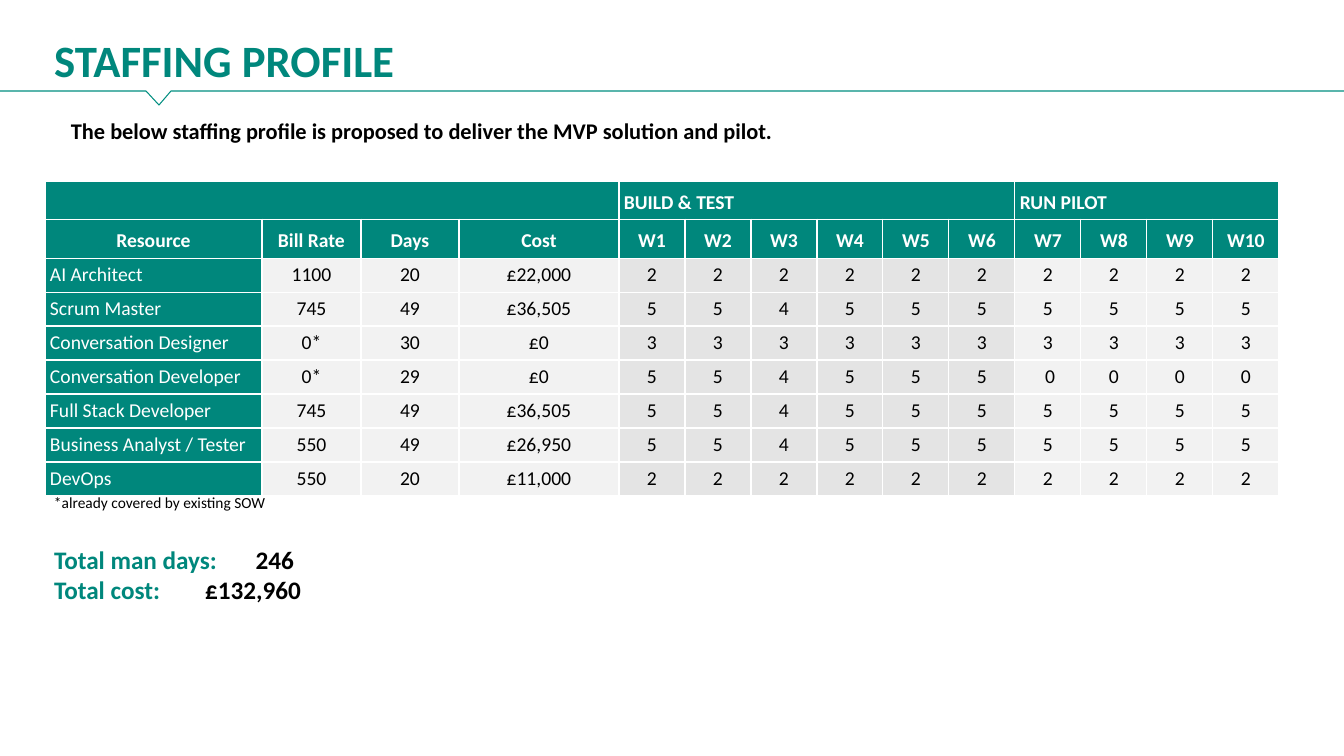
"""Build the staffing profile slide with its rate table, weekly plan and totals."""
from dataclasses import dataclass

from lxml import etree
from pptx import Presentation
from pptx import util as u
from pptx.dml.color import RGBColor
from pptx.enum import text as t
from pptx.oxml import ns

PX = 914400 / 100.8
TEAL, WHITE, BLACK = "00877C", "FFFFFF", "000000"
PALE, GREY = "F2F2F2", "E4E4E4"
LEFT, MID = t.PP_ALIGN.LEFT, t.PP_ALIGN.CENTER


@dataclass(frozen=True)
class Box:
    x: int
    y: int
    w: int
    h: int


@dataclass(frozen=True)
class Role:
    name: str
    rate: str
    days: str
    cost: str
    weeks: str

    def cells(self) -> list[str]:
        return [self.name, self.rate, self.days, self.cost, *self.weeks.split(",")]


@dataclass(frozen=True)
class Phase:
    name: str
    first: int
    last: int


ROLES = [
    Role("AI Architect", "1100", "20", "£22,000", "2,2,2,2,2,2,2,2,2,2"),
    Role("Scrum Master", "745", "49", "£36,505", "5,5,4,5,5,5,5,5,5,5"),
    Role("Conversation Designer", "0*", "30", "£0", "3,3,3,3,3,3,3,3,3,3"),
    Role("Conversation Developer", "0*", "29", "£0", "5,5,4,5,5,5, 0,0,0,0"),
    Role("Full Stack Developer", "745", "49", "£36,505", "5,5,4,5,5,5,5,5,5,5"),
    Role("Business Analyst / Tester", "550", "49", "£26,950", "5,5,4,5,5,5,5,5,5,5"),
    Role("DevOps", "550", "20", "£11,000", "2,2,2,2,2,2,2,2,2,2"),
]
PHASES = [Phase("", 0, 3), Phase("BUILD & TEST", 4, 9), Phase("RUN PILOT", 10, 13)]
HEADS = ["Resource", "Bill Rate", "Days", "Cost"] + [f"W{n}" for n in range(1, 11)]
WIDTHS = [217, 99, 98, 160] + [66] * 10
HEIGHTS = [38, 39] + [34] * len(ROLES)
TOTALS = [("Total man days:", "246"), ("Total cost:", "£132,960")]


def px(n: int) -> int:
    return round(n * PX)


def rgb(code: str) -> RGBColor:
    return RGBColor.from_string(code)


def write(para, text: str, *, size: int, color: str = BLACK,
          bold: bool = False, align=LEFT) -> None:
    para.alignment = align
    run = para.add_run()
    run.text = text
    font = run.font
    font.name, font.size, font.bold = "Calibri", u.Pt(size), bold
    font.color.rgb = rgb(color)


def setup(shape, box: Box):
    shape.left, shape.top = px(box.x), px(box.y)
    shape.width, shape.height = px(box.w), px(box.h)
    frame = shape.text_frame
    frame.word_wrap = True
    frame.auto_size = t.MSO_AUTO_SIZE.NONE
    frame.vertical_anchor = t.MSO_ANCHOR.TOP
    frame.margin_left = frame.margin_right = px(10)
    frame.margin_top = frame.margin_bottom = px(5)
    return frame


def add_box(slide, box: Box):
    return setup(slide.shapes.add_textbox(0, 0, 0, 0), box)


def add_rule(slide) -> None:
    pen = slide.shapes.build_freeform(1344, 91, scale=PX)
    pen.add_line_segments([(171, 91), (159, 105), (146, 91), (0, 91)], close=False)
    rule = pen.convert_to_shape()
    rule.shadow.inherit = False
    rule.fill.background()
    rule.line.color.rgb = rgb("008E80")
    rule.line.width = u.Pt(0.75)


def edge(cell) -> None:
    props = cell._tc.get_or_add_tcPr()
    for i, side in enumerate(("lnL", "lnR", "lnT", "lnB")):
        line = etree.Element(ns.qn(f"a:{side}"), w=str(u.Pt(1)))
        fill = etree.SubElement(line, ns.qn("a:solidFill"))
        etree.SubElement(fill, ns.qn("a:srgbClr"), val=WHITE)
        props.insert(i, line)


def fill_cell(cell, text: str, back: str, **style) -> None:
    cell.fill.solid()
    cell.fill.fore_color.rgb = rgb(back)
    cell.vertical_anchor = t.MSO_ANCHOR.BOTTOM
    cell.margin_left = cell.margin_right = px(5)
    cell.margin_top = cell.margin_bottom = px(5)
    edge(cell)
    write(cell.text_frame.paragraphs[0], text, size=14, **style)


def add_plan(slide) -> None:
    table = slide.shapes.add_table(
        len(HEIGHTS), len(WIDTHS), px(45), px(181),
        px(sum(WIDTHS)), px(sum(HEIGHTS))).table
    for col, wide in zip(table.columns, WIDTHS):
        col.width = px(wide)
    for row, high in zip(table.rows, HEIGHTS):
        row.height = px(high)
    top = [""] * len(WIDTHS)
    for phase in PHASES:
        top[phase.first] = phase.name
        table.cell(0, phase.first).merge(table.cell(0, phase.last))
    build = PHASES[1]
    for r, line in enumerate([top, HEADS] + [role.cells() for role in ROLES]):
        for c, text in enumerate(line):
            head = r < 2 or c == 0
            shade = GREY if build.first <= c <= build.last else PALE
            fill_cell(table.cell(r, c), text, TEAL if head else shade,
                      color=WHITE if head else BLACK, bold=r < 2,
                      align=LEFT if r == 0 or (r > 1 and c == 0) else MID)


def main() -> None:
    deck = Presentation()
    deck.slide_width, deck.slide_height = px(1344), px(756)
    slide = deck.slides.add_slide(deck.slide_layouts[5])
    add_rule(slide)
    title = setup(slide.shapes.title, Box(44, 28, 368, 64))
    write(title.paragraphs[0], "STAFFING PROFILE", size=32, color=TEAL, bold=True)
    add_plan(slide)
    intro = add_box(slide, Box(61, 112, 1220, 85))
    write(intro.paragraphs[0],
          "The below staffing profile is proposed to deliver the MVP solution and pilot.",
          size=16, bold=True)
    sums = add_box(slide, Box(44, 539, 321, 72))
    for i, (label, value) in enumerate(TOTALS):
        para = sums.add_paragraph() if i else sums.paragraphs[0]
        write(para, label, size=18, color=TEAL, bold=True)
        write(para, f"\t{value}", size=18, bold=True)
    note = add_box(slide, Box(44, 488, 359, 41))
    write(note.paragraphs[0], "*already covered by existing SOW", size=11)
    deck.save("out.pptx")


if __name__ == "__main__":
    main()
